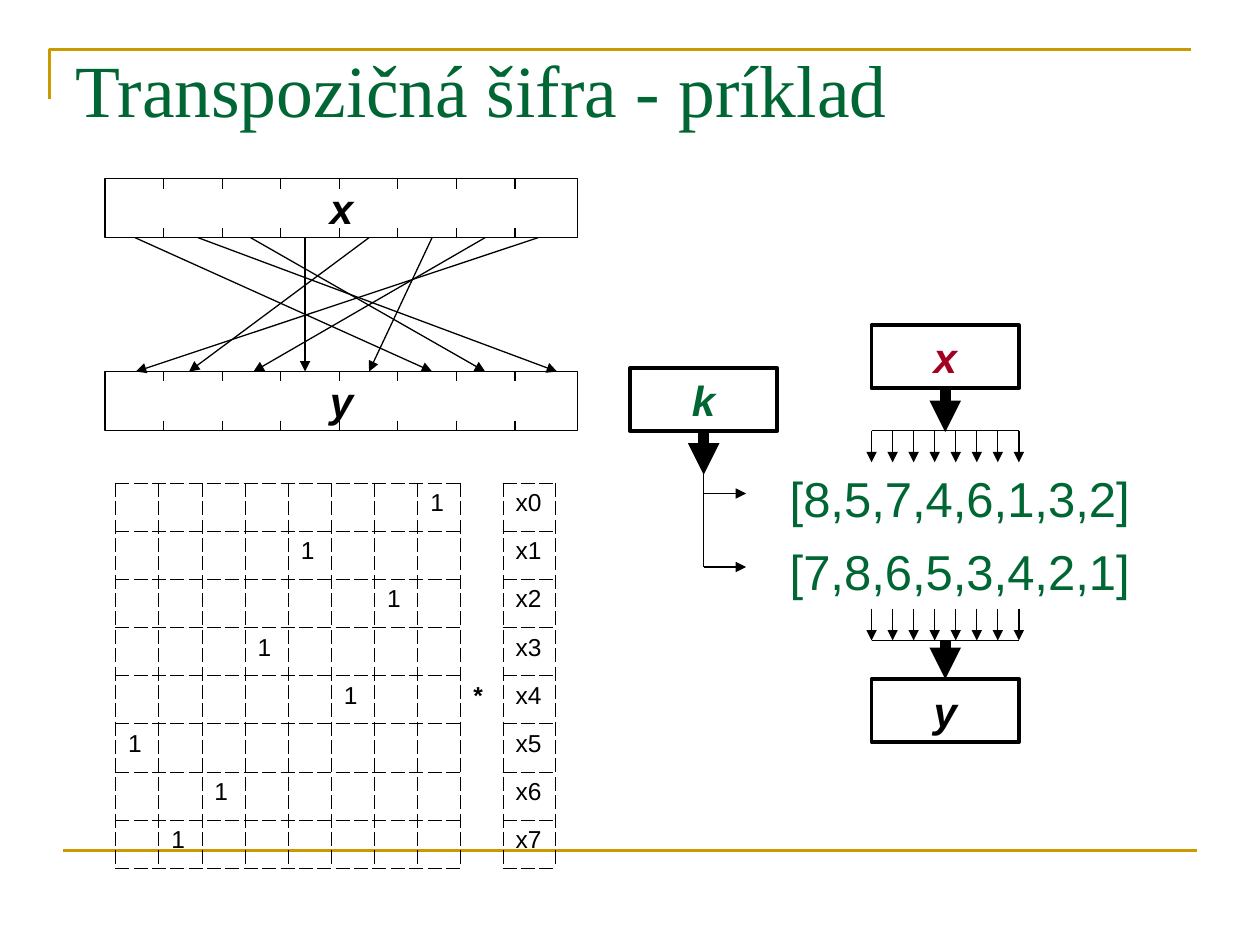
from dataclasses import dataclass
from lxml.etree import SubElement
from pptx import Presentation
from pptx.dml.color import RGBColor
from pptx.enum.shapes import MSO_CONNECTOR, MSO_SHAPE
from pptx.enum.text import MSO_ANCHOR, PP_ALIGN
from pptx.oxml import parse_xml
from pptx.oxml.ns import nsdecls, qn
from pptx.util import Cm, Pt


@dataclass(frozen=True)
class Theme:
    ink: str = "000000"
    green: str = "006633"
    red: str = "A50021"
    gold: str = "CC9900"
    serif: str = "Times New Roman"
    sans: str = "Arial"
    title: int = 42
    keys: int = 28
    label: int = 24
    cell: int = 14
    thin: float = 0.75
    rule: float = 1.5
    frame: float = 2.25
    thick: float = 6
    dash: float = 0.45


class Canvas:
    def __init__(self, slide, theme):
        self.slide = slide
        self.theme = theme

    def add_run(self, para, words, size, color, font=None, bold=False, italic=False):
        run = para.add_run()
        run.text = words
        run.font.name = font or self.theme.sans
        run.font.size = Pt(size)
        run.font.bold = bold
        run.font.italic = italic
        run.font.color.rgb = RGBColor.from_string(color)

    def stroke(self, line, color, width):
        line.color.rgb = RGBColor.from_string(color)
        line.width = Pt(width)

    def text(self, x, y, w, h, words, size, font=None, wrap=True):
        box = self.slide.shapes.add_textbox(Cm(x), Cm(y), Cm(w), Cm(h))
        box.text_frame.word_wrap = wrap
        self.add_run(box.text_frame.paragraphs[0], words, size, self.theme.green, font)

    def box(self, x, y, w, h, words, color, width):
        box = self.slide.shapes.add_shape(MSO_SHAPE.RECTANGLE, Cm(x), Cm(y), Cm(w), Cm(h))
        box.shadow.inherit = False
        box.fill.background()
        self.stroke(box.line, self.theme.ink, width)
        box.text_frame.vertical_anchor = MSO_ANCHOR.MIDDLE
        para = box.text_frame.paragraphs[0]
        para.alignment = PP_ALIGN.CENTER
        self.add_run(para, words, self.theme.label, color, bold=True, italic=True)
        return box

    def line(self, x1, y1, x2, y2, color=None, width=None, arrow=False):
        link = self.slide.shapes.add_connector(
            MSO_CONNECTOR.STRAIGHT, Cm(x1), Cm(y1), Cm(x2), Cm(y2))
        self.stroke(link.line, color or self.theme.ink, width or self.theme.thin)
        props = link._element.spPr
        if arrow:
            SubElement(props.find(qn("a:ln")), qn("a:tailEnd"), type="triangle")
        SubElement(props, qn("a:effectLst"))
        return link

    def corner(self, points):
        form = self.slide.shapes.build_freeform(*points[0], scale=Cm(1))
        form.add_line_segments(points[1:], close=False)
        shape = form.convert_to_shape()
        shape.shadow.inherit = False
        shape.fill.background()
        self.stroke(shape.line, self.theme.gold, self.theme.rule)

    def bar(self, x, y, words):
        high, tick, pitch = 1.19, 0.2, 1.18
        self.box(x, y, 9.53, high, words, self.theme.ink, self.theme.thin)
        for i in range(1, 8):
            for top in (y, y + high - tick):
                self.line(x + i * pitch, top, x + i * pitch, top + tick)

    def comb(self, x, y, drop, width, base):
        for i in range(8):
            at = x + i * width / 7
            self.line(at, y, at, y + drop, arrow=True)
        self.line(x, base, x + width, base)

    def edge(self, cell, bare):
        props = cell._tc.get_or_add_tcPr()
        for i, side in enumerate("LRTB"):
            if bare and side in "TB":
                body = "<a:noFill/>"
            else:
                body = (f'<a:solidFill><a:srgbClr val="{self.theme.ink}"/></a:solidFill>'
                        '<a:prstDash val="dash"/>')
            props.insert(i, parse_xml(
                f'<a:ln{side} {nsdecls("a")} w="{int(Pt(self.theme.dash))}">{body}</a:ln{side}>'))

    def matrix(self, x, y, ones, widths, high):
        count = len(ones)
        table = self.slide.shapes.add_table(
            count, len(widths), Cm(x), Cm(y), Cm(sum(widths)), Cm(high * count)).table
        table.first_row = table.horz_banding = False
        for col, wide in zip(table.columns, widths):
            col.width = Cm(wide)
        for r, one in enumerate(ones):
            table.rows[r].height = Cm(high)
            marks = {one: "1", count + 1: f"x{r}"}
            if r == count // 2:
                marks[count] = "*"
            for c in range(len(widths)):
                cell = table.cell(r, c)
                cell.margin_bottom = Cm(0.05)
                cell.fill.background()
                self.edge(cell, c == count)
                if c in marks:
                    self.add_run(cell.text_frame.paragraphs[0], marks[c],
                                 self.theme.cell, self.theme.ink, bold=c == count)


def main():
    deck = Presentation()
    deck.slide_width, deck.slide_height = Cm(25.4), Cm(19.05)
    look = Theme()
    art = Canvas(deck.slides.add_slide(deck.slide_layouts[6]), look)

    art.corner([(1.07, 2.34), (1.07, 0.64), (23.93, 0.64)])
    art.line(1.27, 17.15, 24.13, 17.15, look.gold, look.rule)
    art.text(1.27, 0.76, 22.86, 3.18, "Transpozičná šifra - príklad", look.title, look.serif)

    art.bar(2.12, 3.6, "x")
    art.bar(2.12, 7.49, "y")
    swaps = [(2.72, 8.71), (3.99, 11.23), (5.05, 9.78), (6.15, 6.15),
             (7.44, 3.81), (8.71, 7.44), (9.78, 5.11), (10.85, 2.74)]
    for start, stop in swaps:
        art.line(start, 4.79, stop, 7.49, arrow=True)

    art.matrix(2.33, 9.74, [7, 4, 6, 3, 5, 0, 2, 1], [0.87] * 8 + [0.85, 1.05], 0.97)

    wide, high = 2.97, 1.27
    left, key = 17.57, 12.7
    mid, stem = left + wide / 2, key + wide / 2

    box = art.box(key, 7.42, wide, high, "k", look.green, look.frame)
    link = art.line(stem, 8.69, stem, 9.57, width=look.thick, arrow=True)
    link.begin_connect(box, 2)
    art.line(stem, 9.53, stem, 11.43)
    for y in (9.95, 11.43):
        art.line(stem, y, 15.04, y, arrow=True)

    art.text(15.67, 9.32, 7.37, 1.45, "[8,5,7,4,6,1,3,2]", look.keys, wrap=False)
    art.text(15.67, 10.8, 7.37, 1.45, "[7,8,6,5,3,4,2,1]", look.keys, wrap=False)

    box = art.box(left, 6.56, wide, high, "x", look.red, look.frame)
    link = art.line(mid, 7.83, mid, 8.71, width=look.thick, arrow=True)
    link.begin_connect(box, 2)
    art.comb(left, 8.68, 0.64, wide, 8.68)

    box = art.box(left, 13.69, wide, high, "y", look.ink, look.frame)
    link = art.line(mid, 12.91, mid, 13.69, width=look.thick, arrow=True)
    link.end_connect(box, 0)
    art.comb(left, 12.27, 0.64, wide, 12.91)

    deck.save("out.pptx")


if __name__ == "__main__":
    main()
